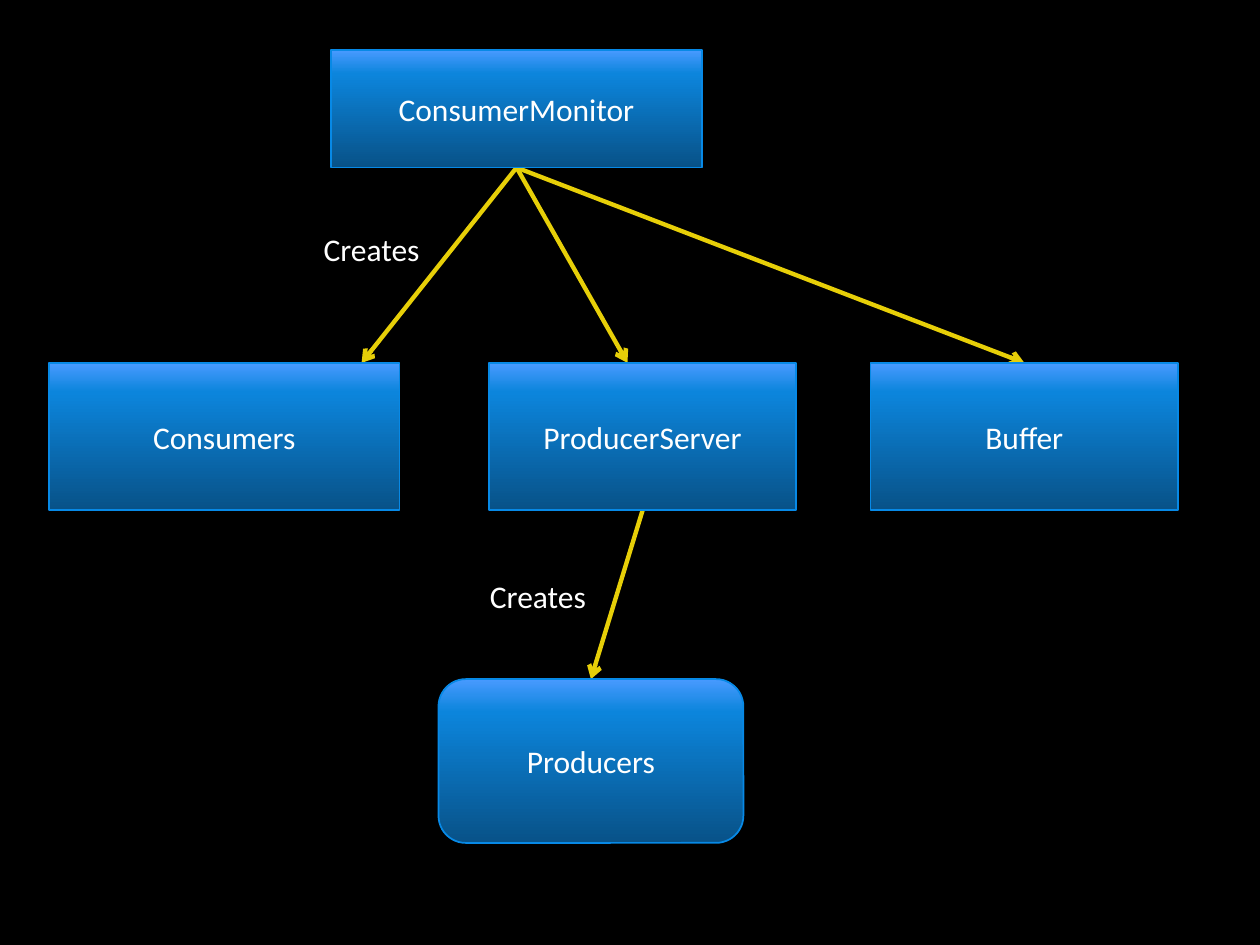
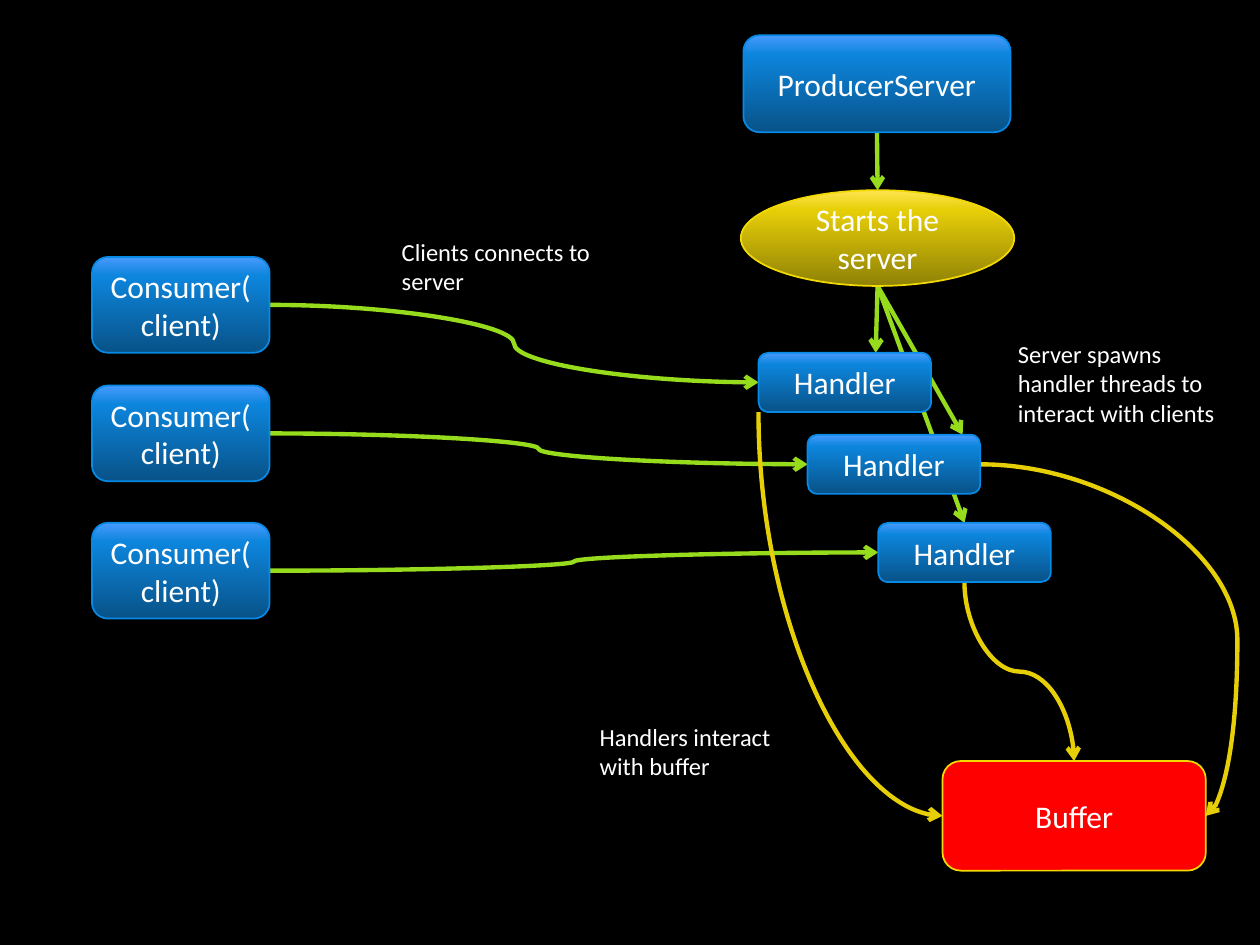
"""Build two diagrams of a producer-consumer program: its classes and its client-server flow."""
from lxml.etree import SubElement
from pptx import Presentation
from pptx.dml.color import RGBColor
from pptx.enum.shapes import MSO_CONNECTOR, MSO_SHAPE
from pptx.enum.text import MSO_ANCHOR, MSO_AUTO_SIZE, PP_ALIGN
from pptx.oxml.ns import qn
from pptx.util import Inches, Pt

FONT = "Calibri"
COLORS = {
    "background": "000000", "text": "FFFFFF", "red": "FF0000",
    "blue_line": "0789E6", "yellow_line": "F2D902",
    "yellow": "E7CF08", "green": "96DC1D",
}
GRADIENTS = {
    "blue": ((0, "085288"), (80, "0C85DC"), (100, "489AFF")),
    "yellow": ((0, "8F8105"), (80, "E7CF08"), (100, "FFE552")),
}
STYLES = {"blue": "blue_line", "yellow": "yellow_line", "red": "yellow_line"}
RECT, ROUND, OVAL = MSO_SHAPE.RECTANGLE, MSO_SHAPE.ROUNDED_RECTANGLE, MSO_SHAPE.OVAL
SITES = {"top": 0, "left": 1, "bottom": 2, "right": 3}

# name: (text, shape, style, (left, top, width, height))
CLASS_BOXES = {
    "monitor": ("ConsumerMonitor", RECT, "blue", (2.63, 0.4, 2.94, 0.93)),
    "consumers": ("Consumers", RECT, "blue", (0.39, 2.88, 2.78, 1.17)),
    "server": ("ProducerServer", RECT, "blue", (3.88, 2.88, 2.44, 1.17)),
    "buffer": ("Buffer", RECT, "blue", (6.91, 2.88, 2.44, 1.17)),
    "producers": ("Producers", ROUND, "blue", (3.48, 5.39, 2.42, 1.3)),
}
CLASS_ARROWS = [
    ("straight", "yellow", ("monitor", "bottom"), (2.87, 2.88)),
    ("straight", "yellow", ("monitor", "bottom"), (4.98, 2.88)),
    ("straight", "yellow", ("monitor", "bottom"), ("buffer", "top")),
    ("straight", "yellow", ("server", "bottom"), ("producers", "top")),
]
CLASS_LABELS = [
    ("Creates", 18, (2.47, 1.78, 1.01, 0.4)),
    ("Creates", 18, (3.79, 4.53, 1.31, 0.4)),
]

CLIENT_TOPS = (2.04, 3.06, 4.15)
HANDLER_CORNERS = ((6.02, 2.8), (6.41, 3.45), (6.97, 4.15))
FLOW_BOXES = {
    "server": ("ProducerServer", ROUND, "blue", (5.9, 0.28, 2.12, 0.77)),
    "start": ("Starts the server", OVAL, "yellow", (5.88, 1.51, 2.17, 0.76)),
    "buffer": ("Buffer", ROUND, "red", (7.48, 6.04, 2.09, 0.87)),
    **{f"client{i}": ("Consumer(client)", ROUND, "blue", (0.73, top, 1.41, 0.76))
       for i, top in enumerate(CLIENT_TOPS, 1)},
    **{f"handler{i}": ("Handler", ROUND, "blue", (*corner, 1.37, 0.47))
       for i, corner in enumerate(HANDLER_CORNERS, 1)},
}
FLOW_ARROWS = [
    ("straight", "green", ("server", "bottom"), ("start", "top")),
    *(("curve", "green", (f"client{i}", "right"), (f"handler{i}", "left")) for i in (1, 2, 3)),
    ("straight", "green", ("start", "bottom"), (6.95, 2.8)),
    ("straight", "green", ("start", "bottom"), (7.64, 3.45)),
    ("straight", "green", ("start", "bottom"), ("handler3", "top")),
    ("quarter", "yellow", (6.02, 3.27), ("buffer", "left")),
    ("loop", "yellow", ("handler2", "right"), ("buffer", "right")),
    ("drop", "yellow", ("handler3", "bottom"), ("buffer", "top")),
]
FLOW_LABELS = [
    ("Clients connects to server", 14, (3.09, 1.83, 1.87, 0.57)),
    ("Server spawns handler threads to interact with clients", 14, (7.98, 2.64, 1.79, 1.04)),
    ("Handlers interact with buffer", 14, (4.66, 5.68, 1.75, 0.57)),
]
SLIDES = [
    (CLASS_BOXES, CLASS_ARROWS, CLASS_LABELS),
    (FLOW_BOXES, FLOW_ARROWS, FLOW_LABELS),
]


def rgb(name):
    return RGBColor.from_string(COLORS[name])


def write(tf, text, size, align):
    tf.word_wrap = True
    p = tf.paragraphs[0]
    p.text = text
    p.alignment = align
    p.font.name, p.font.size = FONT, Pt(size)
    p.font.color.rgb = rgb("text")


def fill_gradient(sp, stops):
    sp.fill.gradient()
    grad = sp._element.spPr.find(qn("a:gradFill"))
    stop_list = grad.find(qn("a:gsLst"))
    for old in list(stop_list):
        stop_list.remove(old)
    for percent, color in stops:
        stop = SubElement(stop_list, qn("a:gs"), pos=str(percent * 1000))
        SubElement(stop, qn("a:srgbClr"), val=color)
    grad.find(qn("a:lin")).set("ang", str(270 * 60000))


def add_box(s, text, shape, style, at):
    sp = s.shapes.add_shape(shape, *map(Inches, at))
    sp.shadow.inherit = False
    if style in GRADIENTS:
        fill_gradient(sp, GRADIENTS[style])
    else:
        sp.fill.solid()
        sp.fill.fore_color.rgb = rgb(style)
    sp.line.color.rgb = rgb(STYLES[style])
    sp.line.width = Pt(1)
    sp.text_frame.vertical_anchor = MSO_ANCHOR.MIDDLE
    write(sp.text_frame, text, 18, PP_ALIGN.CENTER)
    return sp


def add_label(s, text, size, at):
    tf = s.shapes.add_textbox(*map(Inches, at)).text_frame
    write(tf, text, size, PP_ALIGN.LEFT)
    tf.auto_size = MSO_AUTO_SIZE.SHAPE_TO_FIT_TEXT


def locate(end, boxes):
    if end[0] not in boxes:
        return tuple(map(Inches, end))
    sp, side = boxes[end[0]], end[1]
    x = {"left": 0, "right": sp.width}.get(side, sp.width // 2)
    y = {"top": 0, "bottom": sp.height}.get(side, sp.height // 2)
    return sp.left + x, sp.top + y


def glue(connect, end, boxes):
    if end[0] in boxes:
        connect(boxes[end[0]], SITES[end[1]])


def turn_downward(c, start, end):
    """Rotate the connector so that it leaves its start vertically."""
    (x1, y1), (x2, y2) = start, end
    w, h = y2 - y1, x2 - x1
    c.left, c.top = (x1 + x2 - w) // 2, (y1 + y2 - h) // 2
    c.width, c.height = w, h
    xfrm = c._element.spPr.find(qn("a:xfrm"))
    xfrm.set("rot", str(270 * 60000))
    xfrm.set("flipH", "1")


def add_arrow(s, kind, color, start, end, boxes):
    """Add an arrow behind the boxes, so that it never covers their text."""
    line = MSO_CONNECTOR.STRAIGHT if kind == "straight" else MSO_CONNECTOR.CURVE
    begin, finish = locate(start, boxes), locate(end, boxes)
    c = s.shapes.add_connector(line, *begin, *finish)
    glue(c.begin_connect, start, boxes)
    glue(c.end_connect, end, boxes)
    if start == ("start", "bottom"):
        c._element.find(".//" + qn("a:stCxn")).set("idx", "4")
    geometry = c._element.spPr.find(qn("a:prstGeom"))
    if kind in ("quarter", "drop"):
        turn_downward(c, begin, finish)
    if kind == "quarter":
        geometry.set("prst", "curvedConnector2")
    if kind == "loop":
        SubElement(geometry.find(qn("a:avLst")), qn("a:gd"), name="adj1", fmla="val 114000")
    c.line.color.rgb = rgb(color)
    c.line.width = Pt(2.5)
    SubElement(c.line._get_or_add_ln(), qn("a:tailEnd"), type="arrow")
    SubElement(c._element.spPr, qn("a:effectLst"))
    first_box = next(iter(boxes.values()))
    first_box._element.addprevious(c._element)


def main():
    prs = Presentation()
    prs.slide_width, prs.slide_height = Inches(10), Inches(7.5)
    for boxes, arrows, labels in SLIDES:
        s = prs.slides.add_slide(prs.slide_layouts[6])
        s.background.fill.solid()
        s.background.fill.fore_color.rgb = rgb("background")
        drawn = {name: add_box(s, *box) for name, box in boxes.items()}
        for arrow in arrows:
            add_arrow(s, *arrow, drawn)
        for label in labels:
            add_label(s, *label)
    prs.save("out.pptx")


if __name__ == "__main__":
    main()
